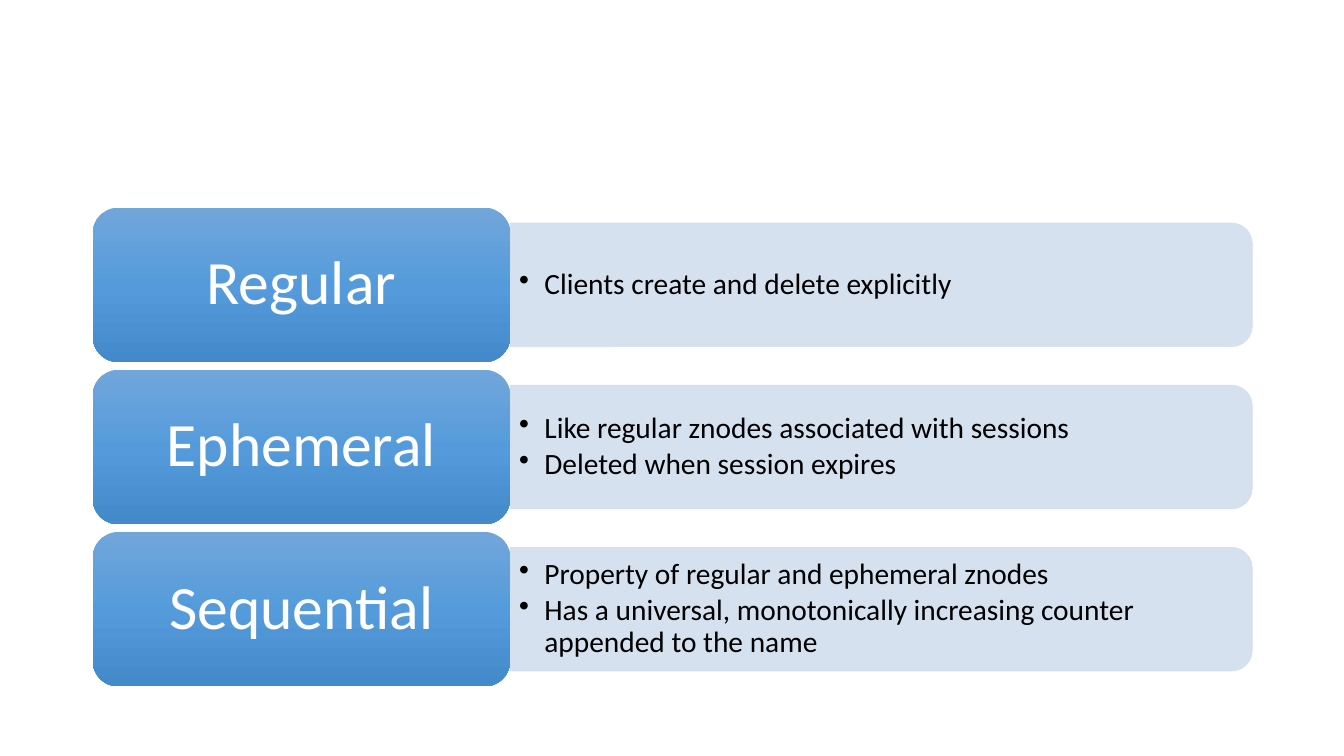
from copy import deepcopy
from dataclasses import dataclass

from lxml import etree
from pptx import Presentation
from pptx import util as u
from pptx.dml.color import RGBColor
from pptx.enum import shapes, text
from pptx.oxml.ns import qn


@dataclass(frozen=True)
class Theme:
    font: str = "Calibri"
    label_size: int = 44
    detail_size: int = 21
    label_text: str = "FFFFFF"
    detail_text: str = "000000"
    panel: str = "D2DEEF"
    panel_opacity: int = 90
    label_stops: tuple = ((0, "71A6DB"), (0.5, "559BDB"), (1, "448ACA"))


THEME = Theme()
SLIDE_SIZE = (13.33, 7.5)
LIST_BOX = (0.92, 2.06, 11.5, 4.75)
LABEL_SHARE = 0.36  # of the list width
PANEL_SHARE = 0.8   # of the row height
GAP_SHARE = 0.05    # of the row height
BULLET_INDENT = u.Inches(0.25)

NODE_TYPES = [
    ("Regular", ["Clients create and delete explicitly"]),
    ("Ephemeral", ["Like regular znodes associated with sessions",
                   "Deleted when session expires"]),
    ("Sequential", ["Property of regular and ephemeral znodes",
                    "Has a universal, monotonically increasing counter "
                    "appended to the name"]),
]


def inches(*lengths):
    return [u.Inches(length) for length in lengths]


def write(shape, lines, size, color, space_after, margins):
    """Fill a shape with centred-height paragraphs of one style."""
    frame = shape.text_frame
    frame.word_wrap = True
    frame.vertical_anchor = text.MSO_ANCHOR.MIDDLE
    frame.margin_left = frame.margin_right = u.Inches(margins[0])
    frame.margin_top = frame.margin_bottom = u.Inches(margins[1])
    frame.text = "\n".join(lines)
    for paragraph in frame.paragraphs:
        paragraph.line_spacing = 0.9
        paragraph.space_after = u.Pt(space_after)
        font = paragraph.runs[0].font
        font.name, font.size = THEME.font, u.Pt(size)
        font.color.rgb = RGBColor.from_string(color)
    return frame.paragraphs


def fill_gradient(shape, stops):
    """Run the colours from top to bottom."""
    shape.fill.gradient()
    shape.fill.gradient_angle = 270
    stop_list = shape._element.spPr.find(qn("a:gradFill")).find(qn("a:gsLst"))
    while len(stop_list) < len(stops):
        stop_list.append(deepcopy(stop_list[0]))
    for stop, (position, color) in zip(shape.fill.gradient_stops, stops):
        stop.position = position
        stop.color.rgb = RGBColor.from_string(color)


def add_panel(slide, left, top, width, height, details):
    # Quarter turn about the centre puts the round corners on the right
    turned_left = left + (width - height) / 2
    turned_top = top + (height - width) / 2
    panel = slide.shapes.add_shape(
        shapes.MSO_SHAPE.ROUND_2_SAME_RECTANGLE,
        *inches(turned_left, turned_top, height, width))
    panel.rotation = 90
    panel.shadow.inherit = False
    panel.fill.solid()
    panel.line.width = u.Pt(0.5)
    for fill in (panel.fill, panel.line.fill):
        fill.solid()
        fill.fore_color.rgb = RGBColor.from_string(THEME.panel)
    for color in panel._element.spPr.iter(qn("a:srgbClr")):
        etree.SubElement(color, qn("a:alpha"), val=str(THEME.panel_opacity * 1000))

    # Upright bullet text over the panel
    inset = 0.06
    box = slide.shapes.add_textbox(
        *inches(left, top + inset, width - inset, height - 2 * inset))
    for paragraph in write(box, details, THEME.detail_size, THEME.detail_text,
                           3, (0.09, 0.04)):
        properties = paragraph._p.get_or_add_pPr()
        properties.set("marL", str(BULLET_INDENT))
        properties.set("indent", str(-BULLET_INDENT))
        etree.SubElement(properties, qn("a:buChar"), char="•")


def add_label(slide, left, top, width, height, name):
    label = slide.shapes.add_shape(shapes.MSO_SHAPE.ROUNDED_RECTANGLE,
                                   *inches(left, top, width, height))
    label.shadow.inherit = False
    label.line.fill.background()
    fill_gradient(label, THEME.label_stops)
    paragraphs = write(label, [name], THEME.label_size, THEME.label_text,
                       15, (0.18, 0.09))
    paragraphs[0].alignment = text.PP_ALIGN.CENTER


def add_block_list(slide, box, rows):
    """Stack rows, each a label with a detail panel to its right."""
    left, top, width, height = box
    row_height = height / (len(rows) + GAP_SHARE * (len(rows) - 1))
    label_width = width * LABEL_SHARE
    panel_height = row_height * PANEL_SHARE
    for index, (name, details) in enumerate(rows):
        row_top = top + index * row_height * (1 + GAP_SHARE)
        add_panel(slide, left + label_width,
                  row_top + (row_height - panel_height) / 2,
                  width - label_width, panel_height, details)
        add_label(slide, left, row_top, label_width, row_height, name)


def main():
    presentation = Presentation()
    presentation.slide_width, presentation.slide_height = inches(*SLIDE_SIZE)
    blank_layout = presentation.slide_layouts[6]
    slide = presentation.slides.add_slide(blank_layout)
    add_block_list(slide, LIST_BOX, NODE_TYPES)
    presentation.save("out.pptx")


if __name__ == "__main__":
    main()
